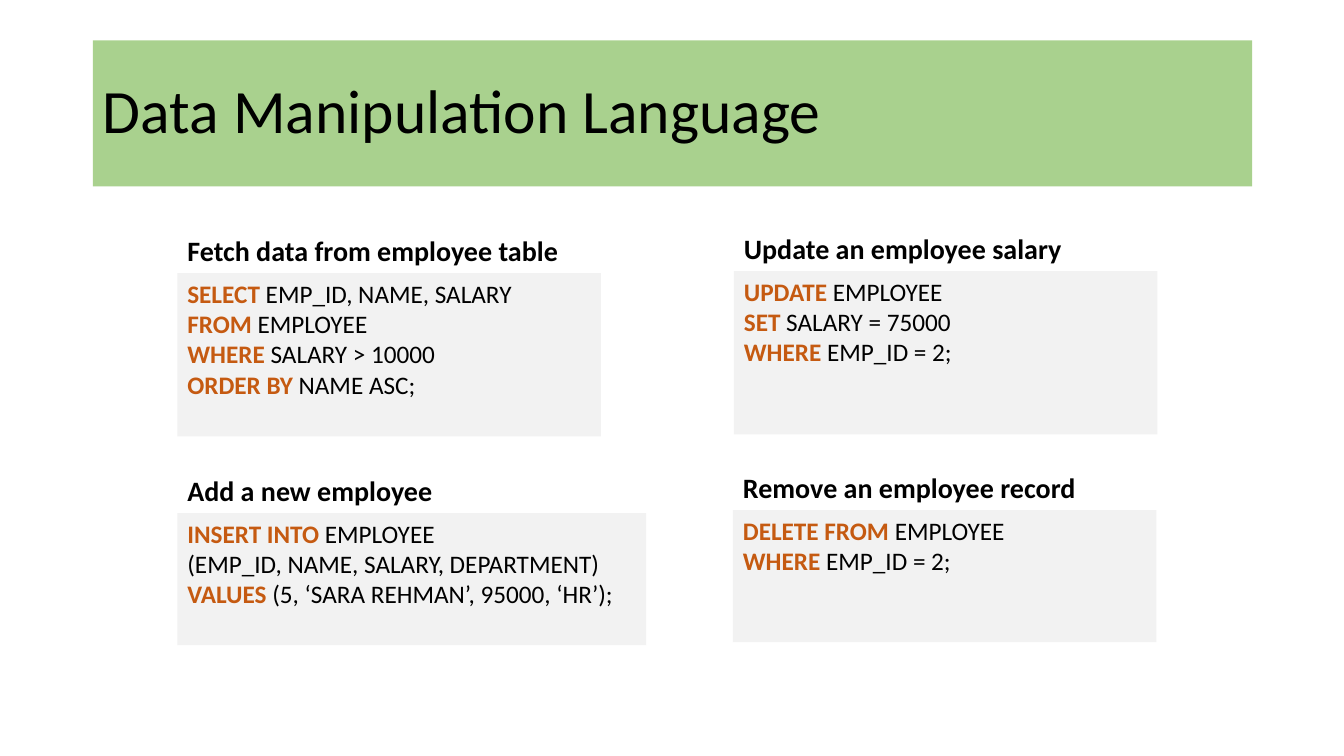
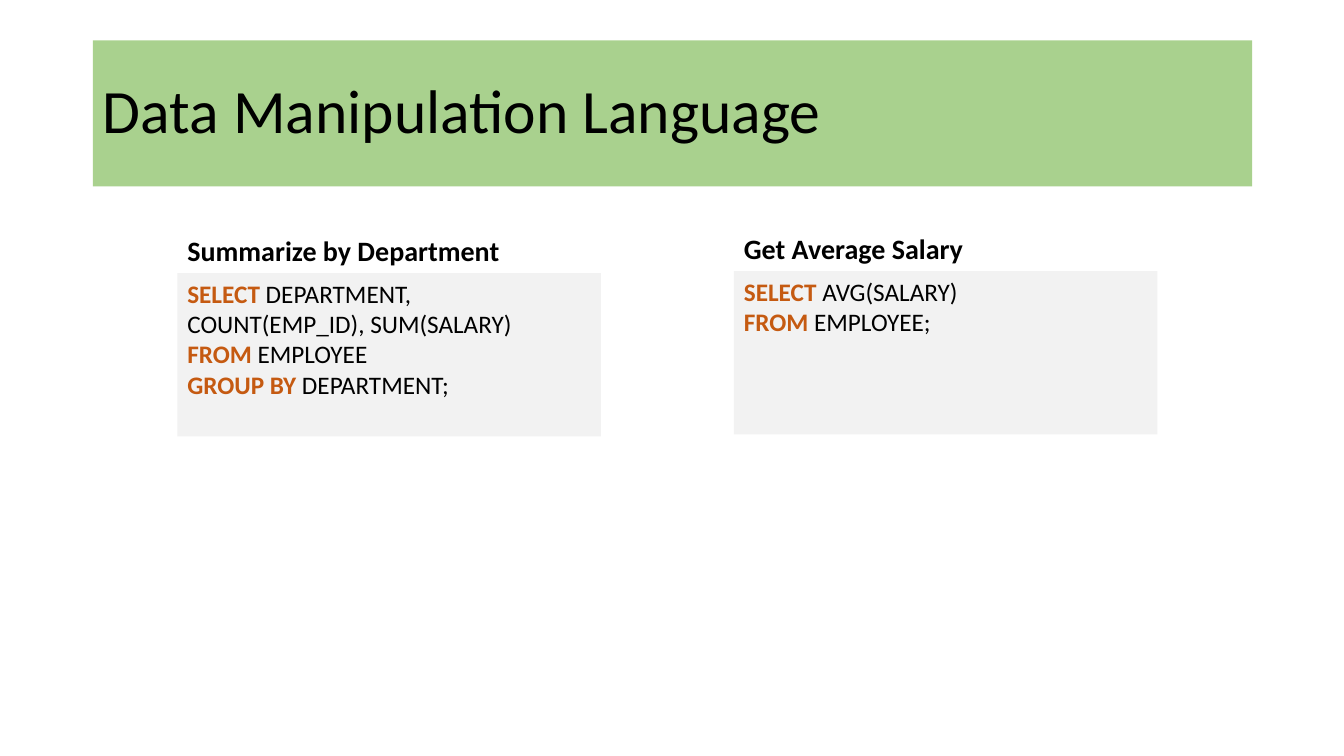
from pptx import Presentation
from pptx.dml.color import RGBColor
from pptx.enum.shapes import MSO_SHAPE as Shape
from pptx.enum.text import MSO_ANCHOR as Anchor, MSO_AUTO_SIZE as AutoSize, PP_ALIGN as Align
from pptx.util import Inches, Pt

COLOURS = {"band": "A9D18E", "panel": "F2F2F2", "keyword": "C55A11", "text": "000000"}
FONT = "Calibri"
TITLE = "Data Manipulation Language"
HEADING_HEIGHT = 0.44
TITLE_ONLY = 5


class SlideBuilder:
    """Holds the shared style and the current slide."""

    def __init__(self, deck):
        self.deck = deck
        self.page = None

    def colour(self, name):
        return RGBColor.from_string(COLOURS[name])

    def fill(self, shape, name):
        shape.fill.solid()
        shape.fill.fore_color.rgb = self.colour(name)

    def style(self, span, size, colour="text", bold=False):
        span.font.name = FONT
        span.font.size = Pt(size)
        span.font.bold = bold
        span.font.color.rgb = self.colour(colour)

    def add_page(self, title):
        self.page = self.deck.slides.add_slide(self.deck.slide_layouts[TITLE_ONLY])
        band = self.page.shapes.title
        band.left, band.top = Inches(0.92), Inches(0.4)
        band.width, band.height = Inches(11.5), Inches(1.45)
        self.fill(band, "band")
        frame = band.text_frame
        frame.text = title
        frame.auto_size = AutoSize.NONE
        frame.vertical_anchor = Anchor.MIDDLE
        para = frame.paragraphs[0]
        para.alignment = Align.LEFT
        para.line_spacing = 0.9
        self.style(para.runs[0], 44)

    def add_heading(self, text, left, top, width):
        box = self.page.shapes.add_textbox(
            Inches(left), Inches(top), Inches(width), Inches(HEADING_HEIGHT))
        frame = box.text_frame
        frame.text = text
        frame.word_wrap = False
        frame.auto_size = AutoSize.SHAPE_TO_FIT_TEXT
        self.style(frame.paragraphs[0].runs[0], 20, bold=True)

    def add_code(self, lines, left, top, width, height):
        panel = self.page.shapes.add_shape(
            Shape.RECTANGLE, Inches(left), Inches(top), Inches(width), Inches(height))
        panel.shadow.inherit = False
        panel.line.fill.background()
        self.fill(panel, "panel")
        frame = panel.text_frame
        frame.word_wrap = True
        frame.vertical_anchor = Anchor.TOP
        for number, (keyword, rest) in enumerate(lines):
            para = frame.add_paragraph() if number else frame.paragraphs[0]
            para.alignment = Align.LEFT
            if keyword:
                span = para.add_run()
                span.text = keyword
                self.style(span, 18, "keyword", bold=True)
                rest = " " + rest
            span = para.add_run()
            span.text = rest
            self.style(span, 18)

    def add_example(self, place, heading, heading_width, lines):
        left, top, width, height = place
        self.add_heading(heading, left, top - HEADING_HEIGHT, heading_width)
        self.add_code(lines, left, top, width, height)


# Panel places: left, top, width, height
TOP_LEFT = (1.76, 2.71, 4.2, 1.62)
TOP_RIGHT = (7.28, 2.69, 4.2, 1.62)
BOTTOM_LEFT = (1.76, 5.09, 4.65, 1.31)
BOTTOM_RIGHT = (7.27, 5.06, 4.2, 1.31)

# Each page lists its examples: place, heading, heading width, code lines
PAGES = [
    [
        (TOP_LEFT, "Fetch data from employee table", 3.91, [
            ("SELECT", "EMP_ID, NAME, SALARY"),
            ("FROM", "EMPLOYEE"),
            ("WHERE", "SALARY > 10000"),
            ("ORDER BY", "NAME ASC;")]),
        (BOTTOM_LEFT, "Add a new employee", 2.65, [
            ("INSERT INTO", "EMPLOYEE"),
            ("", "(EMP_ID, NAME, SALARY, DEPARTMENT)"),
            ("VALUES", "(5, ‘SARA REHMAN’, 95000, ‘HR’);")]),
        (TOP_RIGHT, "Update an employee salary", 3.44, [
            ("UPDATE", "EMPLOYEE"),
            ("SET", "SALARY = 75000"),
            ("WHERE", "EMP_ID = 2;")]),
        (BOTTOM_RIGHT, "Remove an employee record", 3.53, [
            ("DELETE FROM", "EMPLOYEE"),
            ("WHERE", "EMP_ID = 2;")]),
    ],
    [
        (TOP_LEFT, "Summarize by Department", 3.33, [
            ("SELECT", "DEPARTMENT, COUNT(EMP_ID), SUM(SALARY)"),
            ("FROM", "EMPLOYEE"),
            ("GROUP BY", "DEPARTMENT;")]),
        (TOP_RIGHT, "Get Average Salary", 2.4, [
            ("SELECT", "AVG(SALARY)"),
            ("FROM", "EMPLOYEE;")]),
    ],
]

# Build the deck
deck = Presentation()
deck.slide_width, deck.slide_height = Inches(13.33), Inches(7.5)
builder = SlideBuilder(deck)
for examples in PAGES:
    builder.add_page(TITLE)
    for example in examples:
        builder.add_example(*example)
deck.save("out.pptx")
